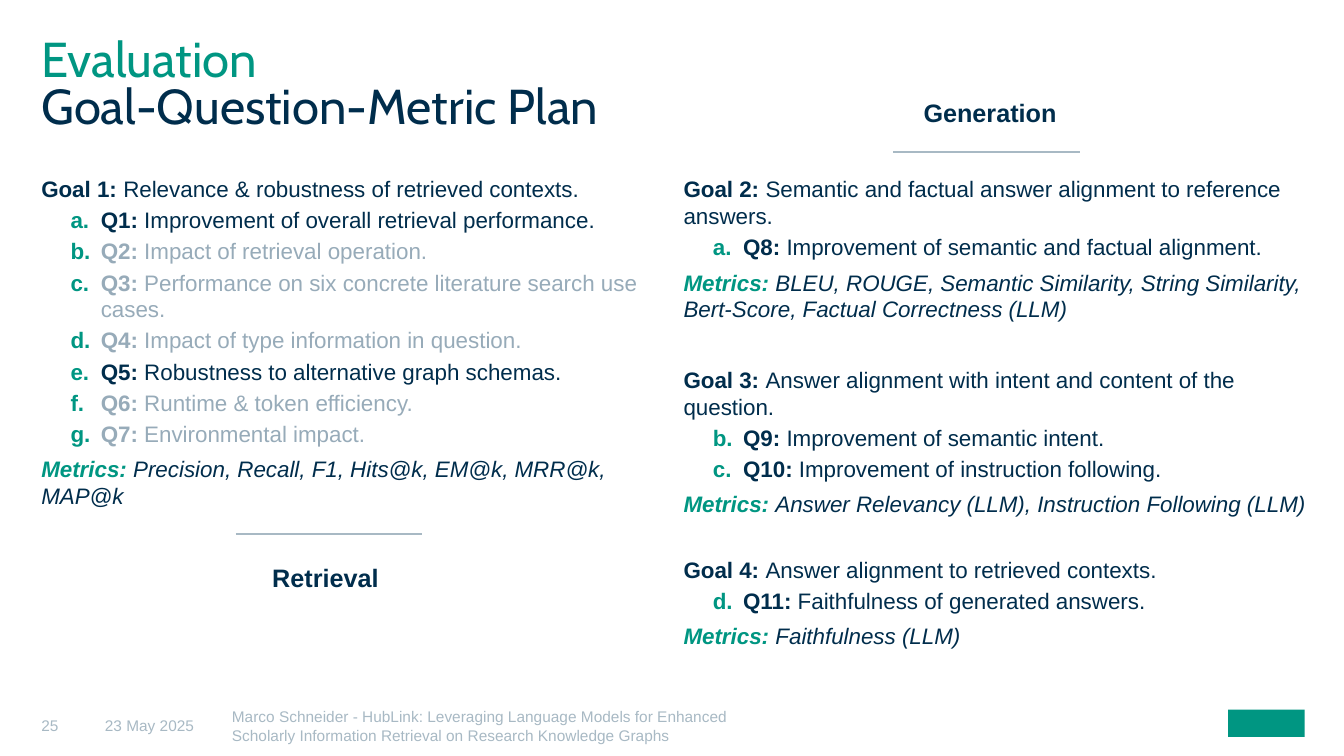
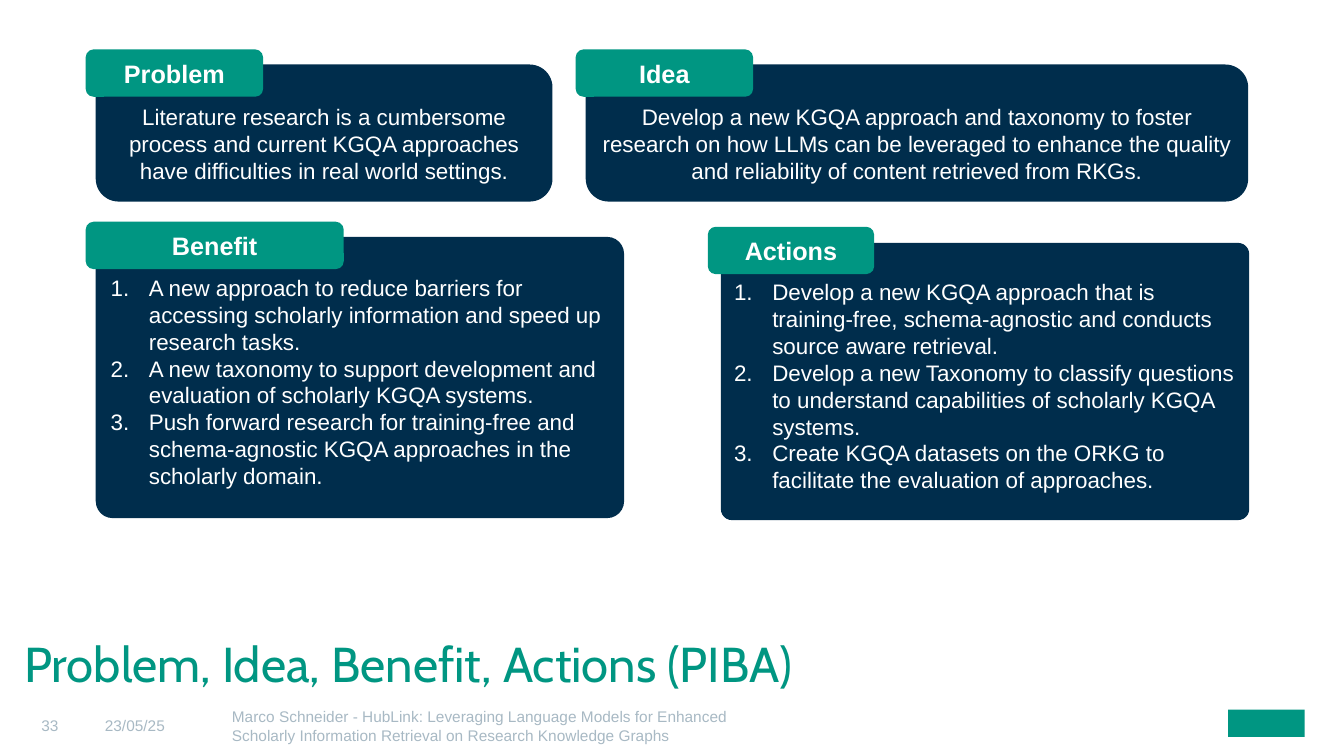
"""Build the goal-question-metric slide and the PIBA summary slide."""
from lxml import etree
from pptx import Presentation
from pptx.dml.color import RGBColor
from pptx.enum.shapes import MSO_CONNECTOR, MSO_SHAPE
from pptx.enum.text import MSO_ANCHOR as ANCHOR, PP_ALIGN as ALIGN
from pptx.oxml.ns import qn
from pptx.util import Pt

PX = 9144
NAVY, TEAL, MUTED, PALE, WHITE = "002D4C", "009682", "97ABB9", "A8B9C4", "FFFFFF"
FOOTER = ("Marco Schneider - HubLink: Leveraging Language Models for Enhanced "
          "Scholarly Information Retrieval on Research Knowledge Graphs")
rgb = RGBColor.from_string


def box(s, at, fill=None, adj=None, shape=MSO_SHAPE.ROUNDED_RECTANGLE, top=0, anchor=ANCHOR.TOP):
    """Add a filled shape, or a text box without margins when no fill is given."""
    at = [v * PX for v in at]
    if fill:
        sp = s.shapes.add_shape(shape, *at)
        sp.shadow.inherit = False
        sp.fill.solid()
        sp.fill.fore_color.rgb = rgb(fill)
        sp.line.fill.background()
        if adj:
            sp.adjustments[0] = adj
    else:
        sp = s.shapes.add_textbox(*at)
        sp.text_frame.margin_left = sp.text_frame.margin_right = sp.text_frame.margin_bottom = 0
    tf = sp.text_frame
    tf.margin_top = top * PX
    tf.word_wrap = True
    tf.vertical_anchor = anchor
    return tf


def write(tf, *runs, size=16, font="Arial", color=NAVY, bold=False, italic=False, align=ALIGN.LEFT,
          before=0, after=0, spacing=None, number=None, start=1, margin=0, hang=0):
    """Add a paragraph; a run is a string or a (string, overrides) pair."""
    p = tf.add_paragraph() if tf.text else tf.paragraphs[0]
    p.alignment = align
    p.space_before, p.space_after = Pt(before), Pt(after)
    if spacing:
        p.line_spacing = spacing
    if number:
        pPr = p._p.get_or_add_pPr()
        pPr.set("marL", str(margin * PX))
        pPr.set("indent", str(-hang * PX))
        if number.startswith("alpha"):
            clr = etree.SubElement(pPr, qn("a:buClr"))
            etree.SubElement(clr, qn("a:srgbClr"), val=TEAL)
        etree.SubElement(pPr, qn("a:buFont"), typeface="+mj-lt")
        etree.SubElement(pPr, qn("a:buAutoNum"), type=number, startAt=str(start))
    for run in runs:
        text, own = (run, {}) if isinstance(run, str) else run
        r = p.add_run()
        r.text = text
        r.font.name, r.font.size = font, Pt(size)
        r.font.bold = own.get("bold", bold)
        r.font.italic = italic
        r.font.color.rgb = rgb(own.get("color", color))


prs = Presentation()
prs.slide_width, prs.slide_height = 1333 * PX, 750 * PX

slides = []
for number, date, title_at, title in [
    ("25", "23 May 2025", (41, 40, 1252, 110),
     [("Evaluation", TEAL), ("Goal-Question-Metric Plan", NAVY)]),
    ("33", "23/05/25", (24, 640, 877, 46), [("Problem, Idea, Benefit, Actions (PIBA)", TEAL)]),
]:
    s = prs.slides.add_slide(prs.slide_layouts[6])
    slides.append(s)
    box(s, (1218, 704, 76, 27), TEAL, shape=MSO_SHAPE.RECTANGLE)
    tf = box(s, title_at)
    for line, color in title:
        write(tf, line, size=35, font="Cabin", color=color, spacing=0.8)
    for x, w, text in [(41, 63, number), (104, 126, date), (230, 500, FOOTER)]:
        write(box(s, (x, 686, w, 64), top=4, anchor=ANCHOR.MIDDLE), text, size=11, color=PALE)

plan, piba = slides

retrieval = [
    ("Goal 1: ", "Relevance & robustness of retrieved contexts.", 0, 1, [
        ("Q1:", "Improvement of overall retrieval performance.", NAVY),
        ("Q2:", "Impact of retrieval operation.", MUTED),
        ("Q3:", "Performance on six concrete literature search use cases.", MUTED),
        ("Q4:", "Impact of type information in question.", MUTED),
        ("Q5:", "Robustness to alternative graph schemas.", NAVY),
        ("Q6:", "Runtime & token efficiency.", MUTED),
        ("Q7:", "Environmental impact.", MUTED),
    ], "Precision, Recall, F1, Hits@k, EM@k, MRR@k, MAP@k"),
]
generation = [
    ("Goal 2: ", "Semantic and factual answer alignment to reference answers.", 0, 1, [
        ("Q8:", "Improvement of semantic and factual alignment.", NAVY),
    ], "BLEU, ROUGE, Semantic Similarity, String Similarity, Bert-Score, "
       "Factual Correctness (LLM)"),
    ("Goal 3: ", "Answer alignment with intent and content of the question.", 28, 2, [
        ("Q9:", "Improvement of semantic intent.", NAVY),
        ("Q10:", "Improvement of instruction following.", NAVY),
    ], "Answer Relevancy (LLM), Instruction Following (LLM)"),
    ("Goal 4: ", "Answer alignment to retrieved contexts.", 25, 4, [
        ("Q11:", "Faithfulness of generated answers.", NAVY),
    ], "Faithfulness (LLM)"),
]
for at, goals in [((41, 174, 614, 512), retrieval), ((678, 174, 626, 512), generation)]:
    tf = box(plan, at)
    for goal, aim, before, start, questions, metrics in goals:
        write(tf, (goal, {"bold": True}), aim, before=before, after=3)
        for label, question, color in questions:
            write(tf, (label, {"bold": True}), " " + question, color=color, after=3,
                  number="alphaLcPeriod", start=start, margin=59, hang=30)
        write(tf, ("Metrics: ", {"bold": True, "color": TEAL}), metrics,
              italic=True, before=3, after=3)

for label, x, y, line_x, line_y in [("Retrieval", 270, 555, 234, 530),
                                    ("Generation", 916, 94, 886, 151)]:
    write(box(plan, (x, y, 408, 72)), label, size=18, bold=True, spacing=1.1)
    ln = plan.shapes.add_connector(MSO_CONNECTOR.STRAIGHT, line_x * PX, line_y * PX,
                                   (line_x + 185) * PX, line_y * PX)
    ln.line.color.rgb = rgb(PALE)
    ln.line.width = Pt(1.5)
    etree.SubElement(ln._element.spPr, qn("a:effectLst"))

for heading, tab_at, body_at, adj, texts in [
    ("Problem", (85, 49, 176, 47), (95, 64, 453, 136), None, [
        "Literature research is a cumbersome process and current KGQA approaches "
        "have difficulties in real world settings."]),
    ("Idea", (571, 49, 176, 47), (581, 64, 657, 136), None, [
        "Develop a new KGQA approach and taxonomy to foster research on how LLMs can be "
        "leveraged to enhance the quality and reliability of content retrieved from RKGs."]),
    ("Benefit", (85, 220, 256, 47), (95, 235, 524, 279), 0.06, [
        "A new approach to reduce barriers for accessing scholarly information and "
        "speed up research tasks.",
        "A new taxonomy to support development and evaluation of scholarly KGQA systems.",
        "Push forward research for training-free and schema-agnostic KGQA approaches "
        "in the scholarly domain."]),
    ("Actions", (702, 225, 165, 47), (715, 241, 524, 275), 0.04, [
        "Develop a new KGQA approach that is training-free, schema-agnostic and conducts "
        "source aware retrieval.",
        "Develop a new Taxonomy to classify questions to understand capabilities of "
        "scholarly KGQA systems.",
        "Create KGQA datasets on the ORKG to facilitate the evaluation of approaches."]),
]:
    tf = box(piba, body_at, NAVY, adj, top=32)
    layout = {"align": ALIGN.CENTER}
    if len(texts) > 1:
        layout = {"number": "arabicPeriod", "margin": 38, "hang": 38}
    for text in texts:
        write(tf, text, color=WHITE, **layout)
    write(box(piba, tab_at, TEAL, top=5, anchor=ANCHOR.MIDDLE), heading, size=18, color=WHITE,
          bold=True, align=ALIGN.CENTER)

prs.save("out.pptx")
